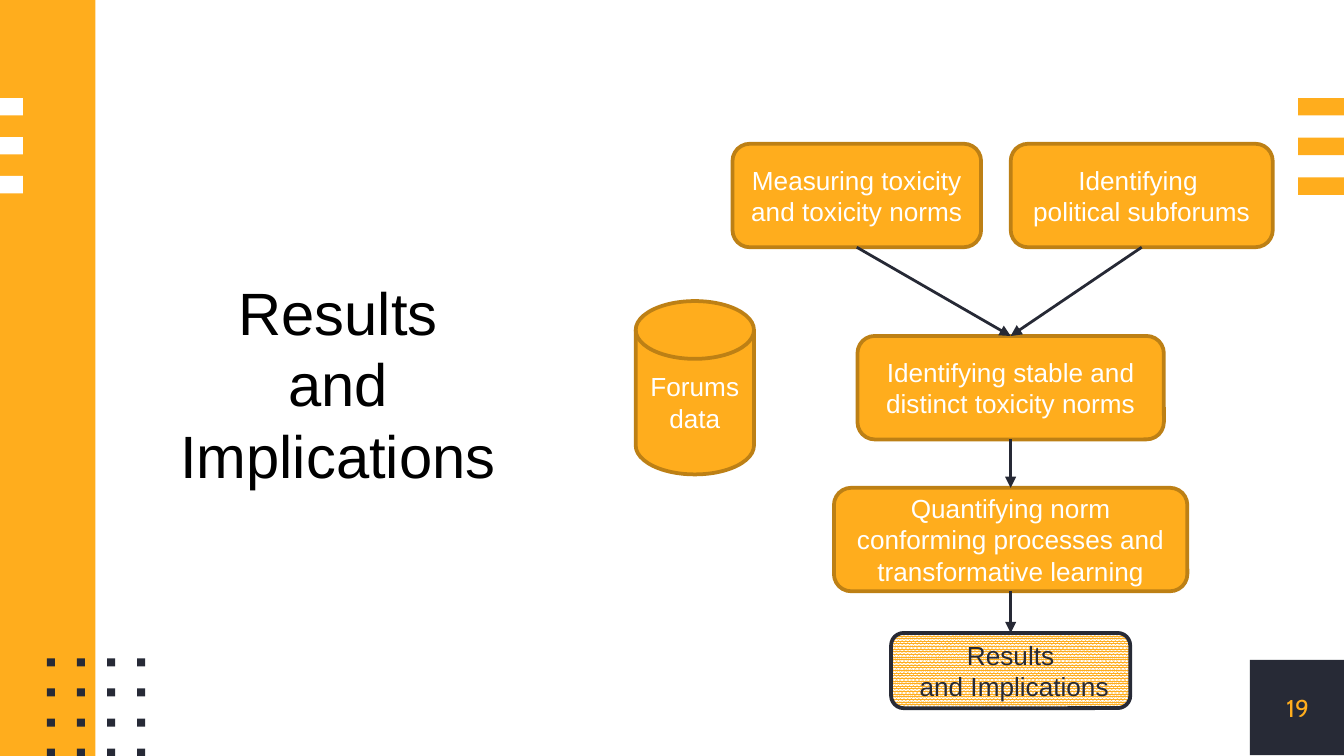
from lxml import etree
from pptx import Presentation
from pptx.dml.color import RGBColor
from pptx.enum import dml, shapes, text
from pptx.oxml.ns import qn
from pptx.util import Inches, Pt

AMBER, BROWN, DARK, ARROW, WHITE = "FFAD1D", "BD8015", "272A36", "262935", "FFFFFF"
SHAPE = shapes.MSO_SHAPE
BOTTOM, TOP = 2, 0
SLIDE_WIDTH = 10
SLIDE_HEIGHT = SLIDE_WIDTH * 9 / 16


def rgb(value):
    return RGBColor.from_string(value)


def add_block(slide, box, color):
    """Plain filled rectangle without outline."""
    sp = slide.shapes.add_shape(SHAPE.RECTANGLE, *map(Inches, box))
    sp.shadow.inherit = False
    sp.fill.solid()
    sp.fill.fore_color.rgb = rgb(color)
    sp.line.fill.background()
    return sp


def write(tf, lines, size, color, font="Arial"):
    """Fill a text frame with centred paragraphs."""
    tf.word_wrap = True
    tf.text = "\n".join(lines)
    for p in tf.paragraphs:
        p.alignment = text.PP_ALIGN.CENTER
        p.font.size = Pt(size)
        p.font.name = font
        p.font.color.rgb = rgb(color)


def add_bars(slide, box, color):
    """Three equal bars spread over the height of the box."""
    left, top, width, height = box
    bar = 0.13
    for i in range(3):
        add_block(slide, (left, top + i * (height - bar) / 2, width, bar), color)


def add_dots(slide, box, count=4, size=0.06):
    """Square grid of dots; the box gives left, top and side."""
    left, top, side = box
    step = (side - size) / (count - 1)
    for row in range(count):
        for col in range(count):
            add_block(slide, (left + col * step, top + row * step, size, size), DARK)


def add_page_number(slide, box, number):
    add_block(slide, box, DARK)
    tf = slide.shapes.add_textbox(*map(Inches, box)).text_frame
    tf.margin_left = tf.margin_right = tf.margin_top = tf.margin_bottom = 0
    tf.vertical_anchor = text.MSO_ANCHOR.MIDDLE
    write(tf, [number], 13, AMBER, "Cabin")


def add_title(slide, box, lines):
    title = slide.shapes.title
    title.left, title.top, title.width, title.height = map(Inches, box)
    write(title.text_frame, lines, 32, "000000")
    title.text_frame.vertical_anchor = text.MSO_ANCHOR.TOP
    title.text_frame.auto_size = text.MSO_AUTO_SIZE.SHAPE_TO_FIT_TEXT


def add_node(slide, box, lines, kind=SHAPE.ROUNDED_RECTANGLE, current=False):
    """Flowchart step; the current one is patterned with dark text."""
    sp = slide.shapes.add_shape(kind, *map(Inches, box))
    sp.shadow.inherit = False
    if current:
        sp.fill.patterned()
        sp.fill.pattern = dml.MSO_PATTERN.PERCENT_90
        sp.fill.back_color.rgb = rgb(WHITE)
    else:
        sp.fill.solid()
    sp.fill.fore_color.rgb = rgb(AMBER)
    sp.line.color.rgb = rgb(DARK if current else BROWN)
    sp.line.width = Pt(2)
    sp.text_frame.vertical_anchor = text.MSO_ANCHOR.MIDDLE
    write(sp.text_frame, lines, 14, DARK if current else WHITE)
    return sp


def add_arrow(slide, start, end):
    cxn = slide.shapes.add_connector(shapes.MSO_CONNECTOR.STRAIGHT, 0, 0, 0, 0)
    cxn.begin_connect(start, BOTTOM)
    cxn.end_connect(end, TOP)
    cxn.line.color.rgb = rgb(ARROW)
    cxn.line.width = Pt(1.5)
    etree.SubElement(cxn.line._get_or_add_ln(), qn("a:tailEnd"), type="triangle")
    etree.SubElement(cxn._element.spPr, qn("a:effectLst"))


def add_flowchart(slide, box):
    left, top, width, _ = box
    axis, height = left + 2.79, 0.77

    def centred(y, w, h=height):
        return axis - w / 2, top + y, w, h

    measuring = add_node(slide, (left + 0.72, top, 1.85, height),
                         ["Measuring toxicity and toxicity norms"])
    political = add_node(slide, (left + width - 1.95, top, 1.95, height),
                         ["Identifying ", "political subforums"])
    stable = add_node(slide, centred(1.43, 2.28),
                      ["Identifying stable and distinct toxicity norms"])
    quantifying = add_node(slide, centred(2.56, 2.63),
                           ["Quantifying norm conforming processes and transformative learning"])
    results = add_node(slide, centred(3.64, 1.78, 0.56),
                       ["Results", " and Implications"], current=True)
    add_node(slide, (left, top + 1.17, 0.88, 1.29), ["Forums", "data"],
             SHAPE.FLOWCHART_MAGNETIC_DISK)

    for start, end in ((measuring, stable), (political, stable),
                       (stable, quantifying), (quantifying, results)):
        add_arrow(slide, start, end)


def main():
    prs = Presentation()
    prs.slide_width, prs.slide_height = Inches(SLIDE_WIDTH), Inches(SLIDE_HEIGHT)
    slide = prs.slides.add_slide(prs.slide_layouts[5])
    add_block(slide, (0, 0, 0.71, SLIDE_HEIGHT), AMBER)
    add_bars(slide, (0, 0.73, 0.17, 0.71), WHITE)
    add_bars(slide, (9.66, 0.73, 0.34, 0.72), AMBER)
    add_dots(slide, (0.35, 4.9, 0.73))
    add_page_number(slide, (9.3, 4.91, 0.71, 0.71), "19")
    add_title(slide, (0.84, 2, 3.35, 1.72), ["Results", "and Implications"])
    add_flowchart(slide, (4.73, 1.07, 4.74, 4.2))
    prs.save("out.pptx")


if __name__ == "__main__":
    main()
